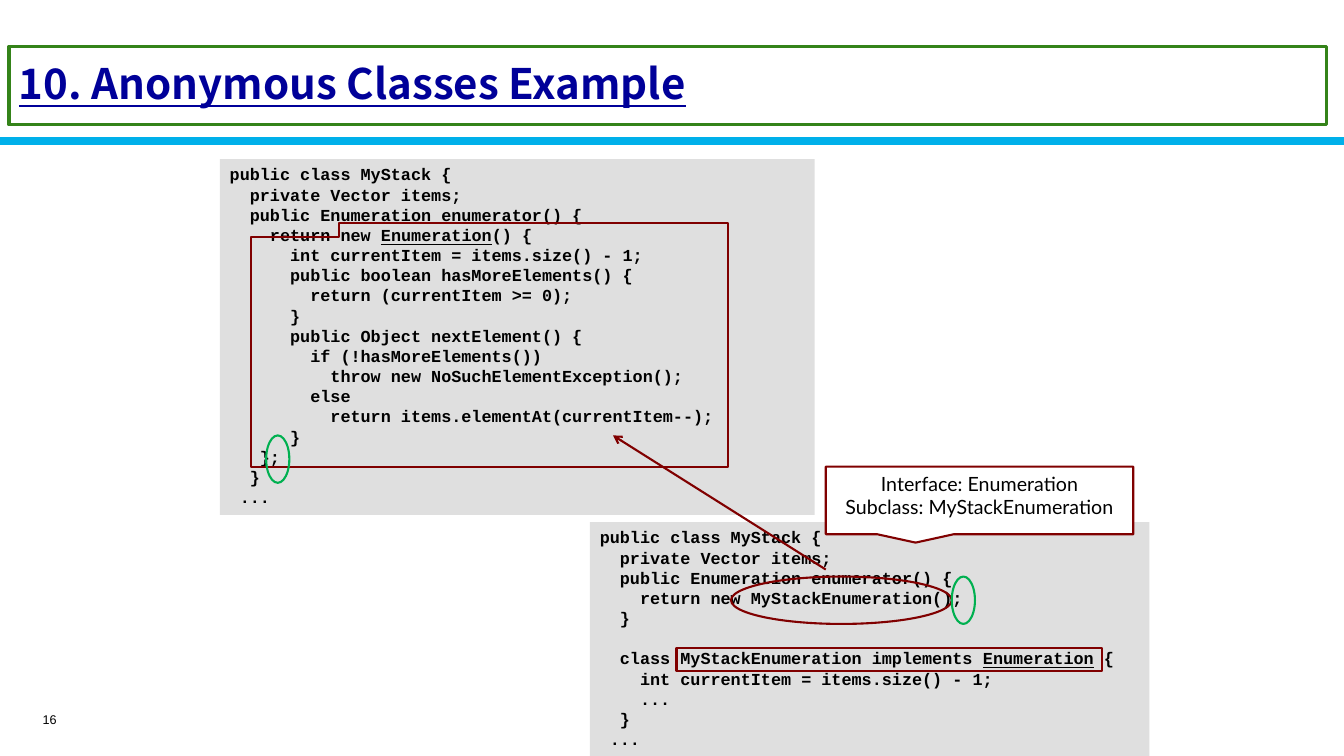
from lxml import etree
from pptx import Presentation
from pptx.dml.color import RGBColor
from pptx.enum.shapes import MSO_CONNECTOR as Connector, MSO_SHAPE as Shape
from pptx.enum.text import MSO_ANCHOR as Anchor, PP_ALIGN as Align
from pptx.oxml.ns import qn
from pptx.util import Inches, Pt

COLORS = {
    "rule": "00B0EA", "frame": "348319", "title": "000099", "text": "000000",
    "code": "C0C0C0", "maroon": "800000", "green": "00B050", "white": "FFFFFF",
}
TITLE = "10. Anonymous Classes Example"
CALLOUT = ["Interface: Enumeration", "Subclass: MyStackEnumeration"]
PAGE_NUMBER = "16"

# A line is a string, or a tuple whose second part is underlined.
# An empty line becomes spacing before the next one.
ANONYMOUS_CODE = [
    "public class MyStack {",
    "  private Vector items;",
    "  public Enumeration enumerator() {",
    ("    return new ", "Enumeration", "() {"),
    "      int currentItem = items.size() - 1;",
    "      public boolean hasMoreElements() {",
    "        return (currentItem >= 0);",
    "      }",
    "      public Object nextElement() {",
    "        if (!hasMoreElements())",
    "          throw new NoSuchElementException();",
    "        else",
    "          return items.elementAt(currentItem--);",
    "      }",
    "   };",
    "  }",
    " ...",
]
NAMED_CODE = [
    "public class MyStack {",
    "  private Vector items;",
    "  public Enumeration enumerator() {",
    "    return new MyStackEnumeration();",
    "  }",
    "",
    ("  class ", "MyStackEnumeration implements ", "Enumeration", " {"),
    "    int currentItem = items.size() - 1;",
    "    ...",
    "  }",
    " ...",
]
NAMED_CODE[6] = ("  class MyStackEnumeration implements ", "Enumeration", " {")

CODE_BOXES = [
    ((2.18, 1.58, 5.9, 3.53), ANONYMOUS_CODE),
    ((5.85, 5.18, 5.55, 2.32), NAMED_CODE),
]
CLASS_BODY_OUTLINE = [(3.36, 2.21), (7.22, 2.21), (7.22, 4.63),
                      (2.49, 4.63), (2.49, 2.35), (3.36, 2.35)]
HIGHLIGHTS = [
    (Shape.OVAL, (7.25, 5.72, 2.19, 0.47), "maroon"),
    (Shape.RECTANGLE, (6.71, 6.43, 4.22, 0.23), "maroon"),
    (Shape.OVAL, (2.64, 4.32, 0.23, 0.47), "green"),
    (Shape.OVAL, (9.44, 5.72, 0.23, 0.47), "green"),
]
CODE_FONT = {"name": "Courier New", "size": Pt(12), "bold": True}
TITLE_FONT = {"name": "Noto Sans CJK JP", "size": Pt(30), "bold": True, "underline": True}
CALLOUT_FONT = {"name": "Lato", "size": Pt(14)}
NUMBER_FONT = {"name": "Arial", "size": Pt(9)}
CODE_PITCH = Pt(14.4)


def rgb(color):
    return RGBColor.from_string(COLORS[color])


def style(shape, line=None, width=1.5, fill=None):
    shape.shadow.inherit = False
    if fill:
        shape.fill.solid()
        shape.fill.fore_color.rgb = rgb(fill)
    else:
        shape.fill.background()
    if line:
        shape.line.color.rgb = rgb(line)
        shape.line.width = Pt(width)
    else:
        shape.line.fill.background()


def add_box(slide, kind, box, **look):
    shape = slide.shapes.add_shape(kind, *map(Inches, box))
    style(shape, **look)
    return shape


def write(shape, lines, font, color="text", anchor=Anchor.TOP, wrap=True, **layout):
    frame = shape.text_frame
    frame.word_wrap = wrap
    frame.vertical_anchor = anchor
    paragraph, gap = None, 0
    for line in lines:
        if not line:
            gap += CODE_PITCH
            continue
        paragraph = frame.add_paragraph() if paragraph else frame.paragraphs[0]
        for name, value in layout.items():
            setattr(paragraph, name, value)
        if gap:
            paragraph.space_before, gap = gap, 0
        parts = (line,) if isinstance(line, str) else line
        for index, text in enumerate(parts):
            run = paragraph.add_run()
            run.text = text
            for name, value in font.items():
                setattr(run.font, name, value)
            run.font.color.rgb = rgb(color)
            if index == 1:
                run.font.underline = True


def add_line(slide, start, end, color, width, arrow=False):
    line = slide.shapes.add_connector(Connector.STRAIGHT, *map(Inches, start + end))
    line.line.color.rgb = rgb(color)
    line.line.width = Pt(width)
    if arrow:
        etree.SubElement(line.line._get_or_add_ln(), qn("a:tailEnd"), type="arrow")
    etree.SubElement(line._element.spPr, qn("a:effectLst"))


def add_code(slide, box, lines):
    shape = add_box(slide, Shape.RECTANGLE, box, fill="code")
    color = shape.fill._xPr.find(qn("a:solidFill"))[0]
    etree.SubElement(color, qn("a:alpha"), val="50000")
    write(shape, lines, CODE_FONT, alignment=Align.LEFT, line_spacing=CODE_PITCH)


def main():
    presentation = Presentation()
    presentation.slide_width, presentation.slide_height = Inches(13.33), Inches(7.5)
    slide = presentation.slides.add_slide(presentation.slide_layouts[6])

    add_line(slide, (0, 1.4), (13.33, 1.4), "rule", 6)
    number = slide.shapes.add_textbox(*map(Inches, (0.09, 6.99, 0.57, 0.3)))
    write(number, [PAGE_NUMBER], NUMBER_FONT, anchor=Anchor.MIDDLE, alignment=Align.RIGHT)
    title = add_box(slide, Shape.RECTANGLE, (0.09, 0.46, 13.07, 0.78), line="frame", width=2.25)
    write(title, [TITLE], TITLE_FONT, "title", Anchor.MIDDLE,
          alignment=Align.LEFT, line_spacing=0.9)

    for box, lines in CODE_BOXES:
        add_code(slide, box, lines)

    points = [(Inches(x), Inches(y)) for x, y in CLASS_BODY_OUTLINE]
    builder = slide.shapes.build_freeform(*points[0])
    builder.add_line_segments(points[1:], close=True)
    style(builder.convert_to_shape(), line="maroon")

    for kind, box, color in HIGHLIGHTS:
        add_box(slide, kind, box, line=color)

    callout = add_box(slide, Shape.RECTANGULAR_CALLOUT, (8.19, 4.63, 3.05, 0.67),
                      line="maroon", fill="white")
    callout.adjustments[0], callout.adjustments[1] = -0.208, 0.625
    write(callout, CALLOUT, CALLOUT_FONT, wrap=False, alignment=Align.CENTER)
    add_line(slide, (8.19, 5.65), (6.08, 4.32), "maroon", 1.5, arrow=True)

    presentation.save("out.pptx")


if __name__ == "__main__":
    main()
